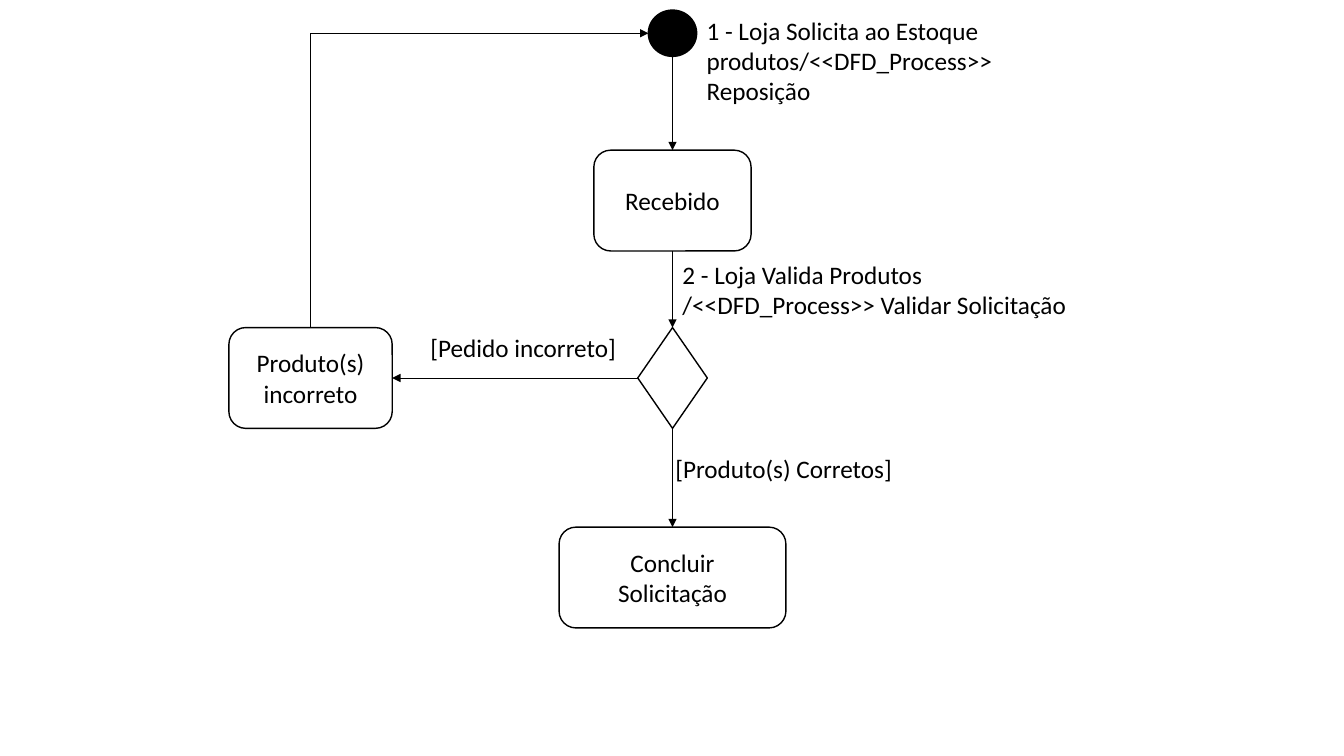
from lxml import etree
from pptx import Presentation
from pptx.dml.color import RGBColor
from pptx.enum.shapes import MSO_CONNECTOR, MSO_SHAPE
from pptx.enum.text import MSO_ANCHOR, MSO_AUTO_SIZE, PP_ALIGN
from pptx.oxml.ns import qn
from pptx.util import Inches, Pt

COLORS = {"ink": "000000", "paper": "FFFFFF"}
FONT, SIZE = "Calibri", 18
AXIS = 6.67
ERROR_AXIS = 3.08

NODES = {
    "start": (MSO_SHAPE.OVAL, AXIS, 0.1, 0.48, 0.46, "ink", ""),
    "received": (MSO_SHAPE.ROUNDED_RECTANGLE, AXIS, 1.49, 1.56, 1, "paper", "Recebido"),
    "check": (MSO_SHAPE.DIAMOND, AXIS, 3.25, 0.69, 1, "paper", ""),
    "incorrect": (MSO_SHAPE.ROUNDED_RECTANGLE, ERROR_AXIS, 3.25, 1.62, 1, "paper",
                  "Produto(s) incorreto"),
    "finish": (MSO_SHAPE.ROUNDED_RECTANGLE, AXIS, 5.23, 2.25, 1, "paper",
               "Concluir Solicitação"),
}
FLOWS = [
    ("start", "bottom", "received", "top"),
    ("received", "bottom", "check", "top"),
    ("check", "left", "incorrect", "right"),
    ("incorrect", "top", "start", "left"),
    ("check", "bottom", "finish", "top"),
]
LABELS = [
    (6.91, 0.1, 4.05, 1.01, True,
     ["1 - Loja Solicita ao Estoque produtos/<<DFD_Process>> Reposição"]),
    (6.67, 2.52, 4.05, 0.71, False,
     ["2 - Loja Valida Produtos", "/<<DFD_Process>> Validar Solicitação"]),
    (4.17, 3.25, 2.06, 0.4, False, ["[Pedido incorreto]"]),
    (6.6, 4.45, 2.37, 0.4, False, ["[Produto(s) Corretos]"]),
]
SITES = ["top", "left", "bottom", "right"]


def rgb(name):
    return RGBColor.from_string(COLORS[name])


def write(frame, lines, align):
    for i, line in enumerate(lines):
        paragraph = frame.paragraphs[0] if i == 0 else frame.add_paragraph()
        paragraph.alignment = align
        run = paragraph.add_run()
        run.text = line
        run.font.name, run.font.size = FONT, Pt(SIZE)
        run.font.color.rgb = rgb("ink")


def add_node(kind, center, top, width, height, fill, text):
    node = slide.shapes.add_shape(kind, Inches(center - width / 2), Inches(top),
                                  Inches(width), Inches(height))
    node.shadow.inherit = False
    node.fill.solid()
    node.fill.fore_color.rgb = rgb(fill)
    node.line.color.rgb = rgb("ink")
    node.line.width = Pt(1)
    if text:
        node.text_frame.word_wrap = True
        node.text_frame.vertical_anchor = MSO_ANCHOR.MIDDLE
        write(node.text_frame, [text], PP_ALIGN.CENTER)
    return node


def site_point(node, side):
    middle_x, middle_y = node.left + node.width // 2, node.top + node.height // 2
    return {"top": (middle_x, node.top),
            "left": (node.left, middle_y),
            "bottom": (middle_x, node.top + node.height),
            "right": (node.left + node.width, middle_y)}[side]


def add_flow(source, source_side, target, target_side):
    x1, y1 = site_point(nodes[source], source_side)
    x2, y2 = site_point(nodes[target], target_side)
    bent = x1 != x2 and y1 != y2
    if bent:
        middle_x, middle_y = (x1 + x2) // 2, (y1 + y2) // 2
        half_w, half_h = abs(y2 - y1) // 2, abs(x2 - x1) // 2
        flow = slide.shapes.add_connector(
            MSO_CONNECTOR.ELBOW, middle_x + half_w, middle_y + half_h,
            middle_x - half_w, middle_y - half_h)
        properties = flow._element.spPr
        properties.find(qn("a:xfrm")).set("rot", "5400000")
        properties.find(qn("a:prstGeom")).set("prst", "bentConnector2")
    else:
        flow = slide.shapes.add_connector(MSO_CONNECTOR.STRAIGHT, x1, y1, x2, y2)
    flow.line.color.rgb = rgb("ink")
    flow.line.width = Pt(0.5)
    etree.SubElement(flow.line._get_or_add_ln(), qn("a:tailEnd"), type="triangle")
    etree.SubElement(flow._element.spPr, qn("a:effectLst"))
    joints = flow._element.nvCxnSpPr.cNvCxnSpPr
    for tag, name, side in (("a:stCxn", source, source_side),
                            ("a:endCxn", target, target_side)):
        step = 2 if name == "start" else 1
        etree.SubElement(joints, qn(tag), id=str(nodes[name].shape_id),
                         idx=str(SITES.index(side) * step))


def add_label(left, top, width, height, wrap, lines):
    box = slide.shapes.add_textbox(Inches(left), Inches(top), Inches(width), Inches(height))
    box.text_frame.word_wrap = wrap
    box.text_frame.auto_size = MSO_AUTO_SIZE.SHAPE_TO_FIT_TEXT
    write(box.text_frame, lines, PP_ALIGN.LEFT)


prs = Presentation()
prs.slide_width, prs.slide_height = Inches(13.33), Inches(7.5)
slide = prs.slides.add_slide(prs.slide_layouts[6])

nodes = {name: add_node(*spec) for name, spec in NODES.items()}
for flow_spec in FLOWS:
    add_flow(*flow_spec)
for label_spec in LABELS:
    add_label(*label_spec)

prs.save("out.pptx")
